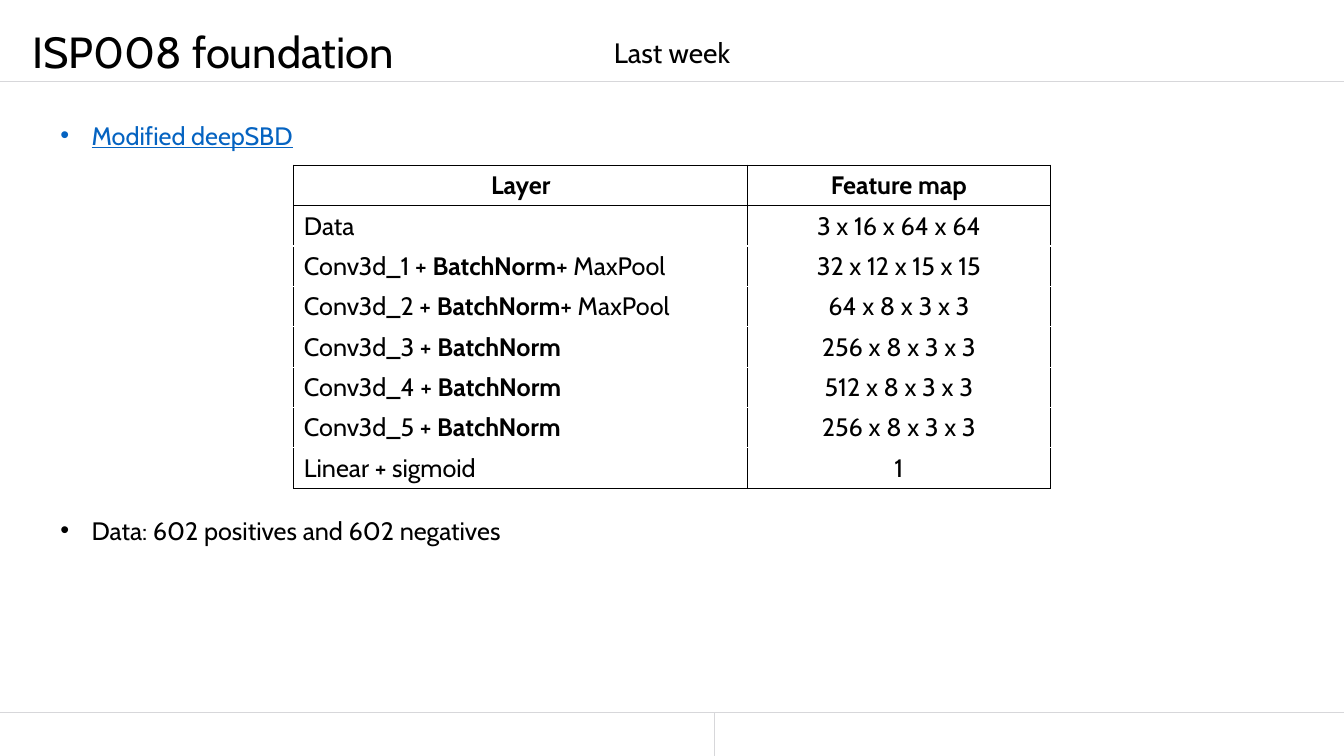
from lxml import etree
from pptx import Presentation, util as u
from pptx.dml.color import RGBColor
from pptx.enum import shapes, text
from pptx.oxml.ns import qn

BLACK = RGBColor(0, 0, 0)
BLUE = RGBColor(0x05, 0x63, 0xC1)
GREY = RGBColor(0xD7, 0xD7, 0xDA)
FONT = "Cabin"
WIDE, HIGH = 13.33, 7.5
LEFT, CENTER = text.PP_ALIGN.LEFT, text.PP_ALIGN.CENTER
JUST = text.PP_ALIGN.JUSTIFY

TITLE = "ISP008 foundation"
TOPIC = "Last week"
POINTS = [("Modified deepSBD", 1.14, BLUE),
          ("Data: 602 positives and 602 negatives", 5.06, BLACK)]
NORM = "BatchNorm"
HEADS = ["Layer", "Feature map"]
LAYERS = [
    ("Data", "3 x 16 x 64 x 64"),
    ("Conv3d_1 + BatchNorm+ MaxPool", "32 x 12 x 15 x 15"),
    ("Conv3d_2 + BatchNorm+ MaxPool", "64 x 8 x 3 x 3"),
    ("Conv3d_3 + BatchNorm", "256 x 8 x 3 x 3"),
    ("Conv3d_4 + BatchNorm", "512 x 8 x 3 x 3"),
    ("Conv3d_5 + BatchNorm", "256 x 8 x 3 x 3"),
    ("Linear + sigmoid", "1"),
]
COLS, ROW = [4.5, 3], 0.4
RULES = [(0, 0.81, WIDE, 0.81), (0, 7.07, WIDE, 7.07), (7.09, 7.07, 7.09, HIGH)]


def style(para, size, color=BLACK, align=LEFT):
    para.alignment = align
    font = para.font
    font.name, font.size = FONT, u.Pt(size)
    font.color.rgb = color


def add_text(words, left, top, width, height, size, color=BLACK, align=LEFT, pad=0):
    box = slide.shapes.add_textbox(*map(u.Inches, (left, top, width, height)))
    frame = box.text_frame
    frame.word_wrap = True
    frame.margin_left = frame.margin_right = u.Inches(pad)
    frame.margin_top = frame.margin_bottom = u.Inches(pad / 2)
    para = frame.paragraphs[0]
    para.add_run().text = words
    style(para, size, color, align)
    return frame, para


def add_bullet(para):
    props = para._p.get_or_add_pPr()
    props.set("marL", str(u.Inches(0.31)))
    props.set("indent", str(-u.Inches(0.31)))
    etree.SubElement(props, qn("a:buFont")).set("typeface", "Arial")
    etree.SubElement(props, qn("a:buChar")).set("char", "•")


def add_edges(cell, sides):
    props = cell._tc.get_or_add_tcPr()
    for spot, side in enumerate(sides):
        line = etree.Element(qn("a:ln" + side), w=str(u.Pt(1)))
        fill = etree.SubElement(line, qn("a:solidFill"))
        etree.SubElement(fill, qn("a:srgbClr")).set("val", str(BLACK))
        props.insert(spot, line)


def fill_cell(cell, words, row, col):
    head = row == 0
    para = cell.text_frame.paragraphs[0]
    style(para, 18, align=CENTER if head or col else LEFT)
    start, norm, rest = words.partition(NORM)
    for part in filter(None, (start, norm, rest)):
        run = para.add_run()
        run.text = part
        run.font.bold = head or part == NORM
    cell.vertical_anchor = text.MSO_ANCHOR.TOP
    cell.fill.background()
    sides = ["L", "R"]
    if row < 2:
        sides.append("T")
    if head or row == len(LAYERS):
        sides.append("B")
    add_edges(cell, sides)


deck = Presentation()
deck.slide_width, deck.slide_height = u.Inches(WIDE), u.Inches(HIGH)
slide = deck.slides.add_slide(deck.slide_layouts[6])

for ends in RULES:
    rule = slide.shapes.add_connector(shapes.MSO_CONNECTOR.STRAIGHT, *map(u.Inches, ends))
    rule.line.color.rgb = GREY
    rule.line.width = u.Pt(0.5)
    etree.SubElement(rule._element.spPr, qn("a:effectLst"))

frame, para = add_text(TITLE, 0.32, 0.31, 12.7, 0.47, 31.1)
para.line_spacing = 0.89

frame, para = add_text(TOPIC, 0, 0.22, WIDE, 0.47, 20, align=CENTER)
frame.vertical_anchor = text.MSO_ANCHOR.BOTTOM
para.line_spacing, para.space_before = u.Pt(23), u.Pt(5)

for words, top, color in POINTS:
    frame, para = add_text(words, 0.5, top, 6.72, 0.4, 18, color, JUST, 0.1)
    para.space_after = u.Pt(6)
    para.runs[0].font.underline = color == BLUE
    add_bullet(para)

rows = [HEADS] + LAYERS
span = sum(COLS)
grid = slide.shapes.add_table(len(rows), len(COLS), *map(
    u.Inches, ((WIDE - span) / 2, 1.64, span, ROW * len(rows)))).table
grid.first_row = grid.horz_banding = False
for col, width in enumerate(COLS):
    grid.columns[col].width = u.Inches(width)
for row, pair in enumerate(rows):
    grid.rows[row].height = u.Inches(ROW)
    for col, words in enumerate(pair):
        fill_cell(grid.cell(row, col), words, row, col)

deck.save("out.pptx")
